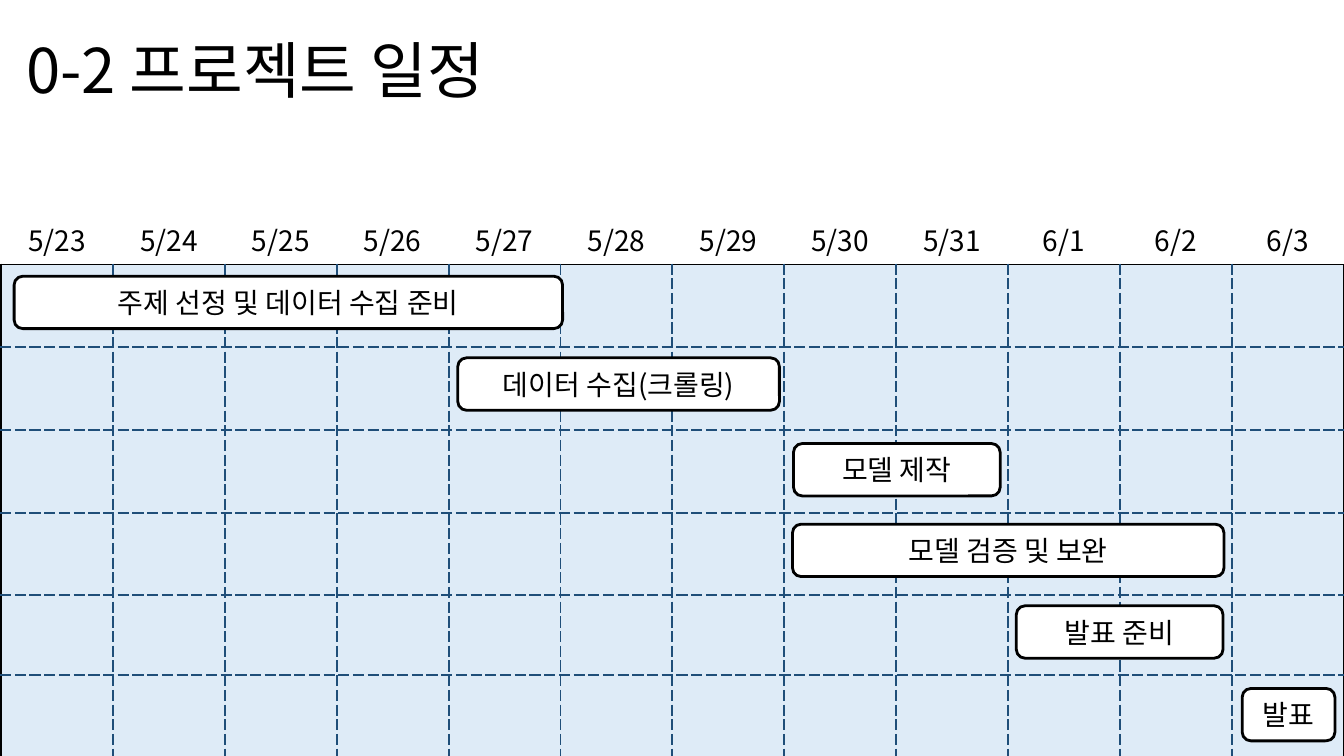
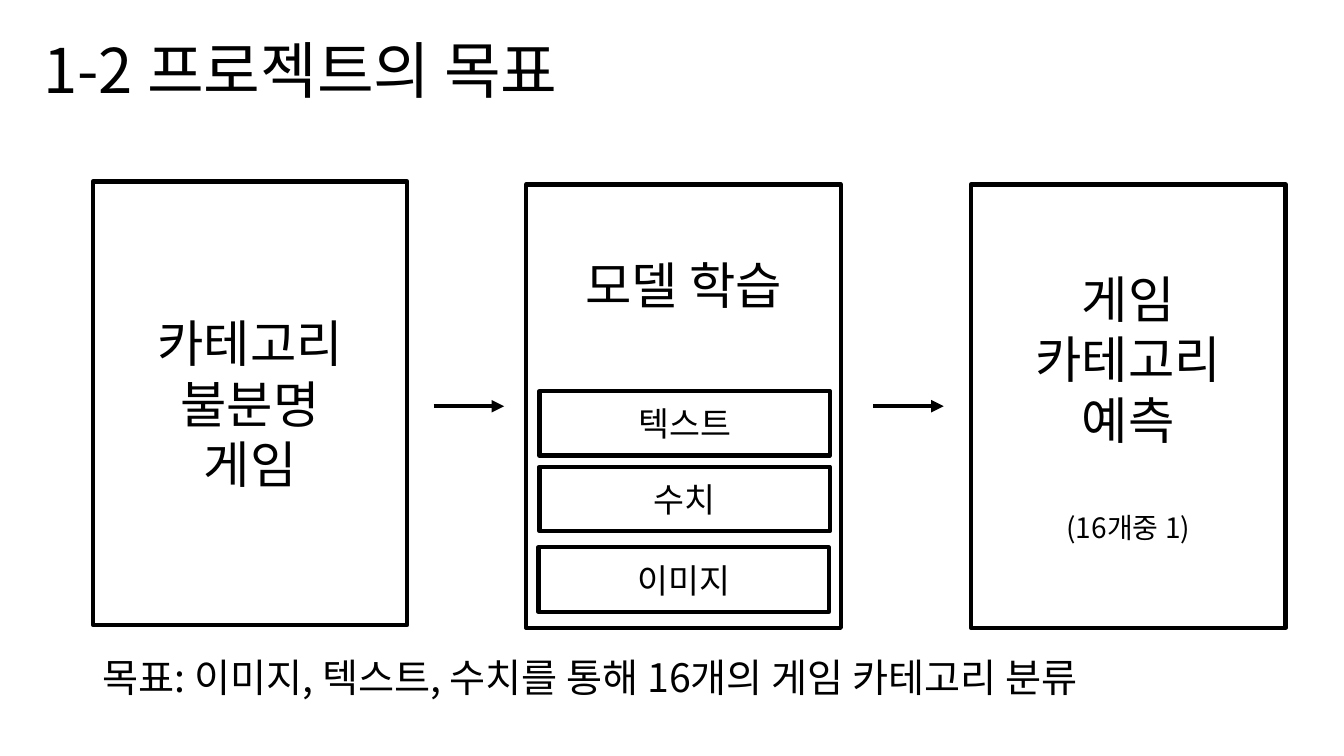
from dataclasses import dataclass
from typing import Any

import lxml.etree
import pptx
import pptx.dml.color
import pptx.enum.shapes
import pptx.enum.text
import pptx.oxml.ns
import pptx.presentation
import pptx.shapes.autoshape
import pptx.slide
import pptx.table
import pptx.text.text
import pptx.util

# Shared style: lengths are px, 100 to the inch
EMU_PER_PX = 9144
SLIDE_WIDTH, SLIDE_HEIGHT = 1333, 750
TITLE_WIDTH, TITLE_HEIGHT = 1150, 145
TITLE_ONLY_LAYOUT = 5
FONT = "Noto Sans CJK KR"
BLACK = pptx.dml.color.RGBColor(0x00, 0x00, 0x00)
WHITE = pptx.dml.color.RGBColor(0xFF, 0xFF, 0xFF)
PALE_BLUE = pptx.dml.color.RGBColor(0xDE, 0xEB, 0xF7)
DARK_BLUE = pptx.dml.color.RGBColor(0x1F, 0x4E, 0x79)

SHAPE = pptx.enum.shapes.MSO_SHAPE
ALIGN = pptx.enum.text.PP_ALIGN
ANCHOR = pptx.enum.text.MSO_ANCHOR


@dataclass(frozen=True)
class Line:
    text: str
    size: int
    space_before: int = 0


@dataclass(frozen=True)
class Box:
    left: int
    top: int
    width: int
    height: int
    lines: tuple[Line, ...]
    kind: Any = SHAPE.RECTANGLE
    fill: pptx.dml.color.RGBColor | None = None
    line_width: int = 3
    top_inset: int | None = None  # set: text starts at the top


@dataclass(frozen=True)
class Task:
    name: str
    left: int
    top: int
    width: int


@dataclass(frozen=True)
class Arrow:
    start: int
    end: int
    y: int


# Schedule content
DATES = [f"5/{day}" for day in range(23, 32)] + [f"6/{day}" for day in range(1, 4)]
TABLE_LEFT, TABLE_TOP, COLUMN_WIDTH = 1, 212, 111
ROW_HEIGHTS = (46, 82, 82, 83, 81, 79, 82)
TASK_HEIGHT = 52
TASKS = (
    Task("주제 선정 및 데이터 수집 준비", 14, 274, 544),
    Task("데이터 수집(크롤링)", 454, 355, 319),
    Task("모델 제작", 787, 440, 205),
    Task("모델 검증 및 보완", 786, 520, 428),
    Task("발표 준비", 1008, 601, 205),
    Task("발표", 1232, 683, 92),
)

# Goal content
STAGE_SIZE = (312, 440)
INPUT_SIZE = (288, 64)
STAGES = (
    Box(92, 180, *STAGE_SIZE, (Line("카테고리", 36), Line("불분명", 36), Line("게임", 36))),
    Box(522, 183, *STAGE_SIZE, (Line("모델 학습", 36),), top_inset=69),
    Box(963, 183, *STAGE_SIZE, (Line("게임", 36), Line("카테고리", 36), Line("예측", 36),
                                Line("(16개중 1)", 20, space_before=44))),
)
INPUTS = (
    Box(535, 388, *INPUT_SIZE, (Line("텍스트", 24),)),
    Box(535, 463, *INPUT_SIZE, (Line("수치", 24),)),
    Box(534, 543, *INPUT_SIZE, (Line("이미지", 24),)),
)
ARROWS = (Arrow(430, 500, 403), Arrow(866, 936, 403))
GOAL = "목표: 이미지, 텍스트, 수치를 통해 16개의 게임 카테고리 분류"


def px(length: int) -> pptx.util.Emu:
    return pptx.util.Emu(length * EMU_PER_PX)


def apply_format(target: Any, values: dict[str, Any]) -> None:
    for name, value in values.items():
        setattr(target, name, value)


def add_element(parent: Any, tag: str, **attributes: str) -> Any:
    return lxml.etree.SubElement(parent, pptx.oxml.ns.qn(tag), attributes)


def write_lines(frame: pptx.text.text.TextFrame, lines: tuple[Line, ...],
                paragraph_format: dict[str, Any]) -> None:
    for index, line in enumerate(lines):
        paragraph = frame.paragraphs[0] if index == 0 else frame.add_paragraph()
        apply_format(paragraph, paragraph_format)
        if line.space_before:
            paragraph.space_before = pptx.util.Pt(line.space_before)
        run = paragraph.add_run()
        run.text = line.text
        apply_format(run.font, {"name": FONT, "size": pptx.util.Pt(line.size), "bold": False})
        run.font.color.rgb = BLACK
        add_element(run.font._element, "a:ea", typeface=FONT)


def add_titled_slide(presentation: pptx.presentation.Presentation, title: str,
                     left: int) -> pptx.slide.Slide:
    slide = presentation.slides.add_slide(presentation.slide_layouts[TITLE_ONLY_LAYOUT])
    shape = slide.shapes.title
    apply_format(shape, {"left": px(left), "top": px(0),
                         "width": px(TITLE_WIDTH), "height": px(TITLE_HEIGHT)})
    apply_format(shape.text_frame, {"vertical_anchor": ANCHOR.MIDDLE, "word_wrap": True,
                                    "auto_size": pptx.enum.text.MSO_AUTO_SIZE.NONE})
    write_lines(shape.text_frame, (Line(title, 44),),
                {"alignment": ALIGN.LEFT, "line_spacing": 0.9})
    return slide


def add_box(slide: pptx.slide.Slide, box: Box) -> pptx.shapes.autoshape.Shape:
    shape = slide.shapes.add_shape(box.kind, px(box.left), px(box.top),
                                   px(box.width), px(box.height))
    shape.shadow.inherit = False
    if box.fill is None:
        shape.fill.background()
    else:
        shape.fill.solid()
        shape.fill.fore_color.rgb = box.fill
    shape.line.color.rgb = BLACK
    shape.line.width = pptx.util.Pt(box.line_width)
    frame = shape.text_frame
    apply_format(frame, {"word_wrap": True, "vertical_anchor": ANCHOR.MIDDLE})
    if box.top_inset is not None:
        apply_format(frame, {"vertical_anchor": ANCHOR.TOP, "margin_top": px(box.top_inset)})
    write_lines(frame, box.lines, {"alignment": ALIGN.CENTER})
    return shape


def add_arrow(slide: pptx.slide.Slide, arrow: Arrow) -> None:
    connector = slide.shapes.add_connector(
        pptx.enum.shapes.MSO_CONNECTOR.STRAIGHT,
        px(arrow.start), px(arrow.y), px(arrow.end), px(arrow.y))
    connector.line.color.rgb = BLACK
    connector.line.width = pptx.util.Pt(3)
    add_element(connector.line._get_or_add_ln(), "a:tailEnd", type="triangle")
    add_element(connector._element.spPr, "a:effectLst")


def add_border(cell: Any, side: str, outer: bool) -> None:
    border = add_element(cell._tc.get_or_add_tcPr(), f"a:ln{side}", w=str(pptx.util.Pt(1.5)))
    fill = add_element(border, "a:solidFill")
    add_element(fill, "a:srgbClr", val=str(BLACK if outer else DARK_BLUE))
    add_element(border, "a:prstDash", val="solid" if outer else "sysDash")


def add_schedule_table(slide: pptx.slide.Slide) -> None:
    row_count, column_count = len(ROW_HEIGHTS), len(DATES)
    table = slide.shapes.add_table(
        row_count, column_count, px(TABLE_LEFT), px(TABLE_TOP),
        px(COLUMN_WIDTH * column_count), px(sum(ROW_HEIGHTS))).table
    apply_format(table, {"first_row": False, "horz_banding": False})
    for column in table.columns:
        column.width = px(COLUMN_WIDTH)
    for row, height in zip(table.rows, ROW_HEIGHTS):
        row.height = px(height)

    # Dates stand above the grid
    for column_index, date in enumerate(DATES):
        cell = table.cell(0, column_index)
        add_border(cell, "B", outer=True)
        cell.fill.background()
        write_lines(cell.text_frame, (Line(date, 20),), {"alignment": ALIGN.CENTER})

    # Grid: solid outside, dashed inside
    for row_index in range(1, row_count):
        for column_index in range(column_count):
            cell = table.cell(row_index, column_index)
            outer_sides = {"L": column_index == 0, "R": column_index == column_count - 1,
                           "T": row_index == 1, "B": row_index == row_count - 1}
            for side, outer in outer_sides.items():
                add_border(cell, side, outer)
            cell.fill.solid()
            cell.fill.fore_color.rgb = PALE_BLUE


def build_schedule(presentation: pptx.presentation.Presentation) -> None:
    slide = add_titled_slide(presentation, "0-2 프로젝트 일정", left=16)
    add_schedule_table(slide)
    for task in TASKS:
        add_box(slide, Box(task.left, task.top, task.width, TASK_HEIGHT, (Line(task.name, 20),),
                           kind=SHAPE.FLOWCHART_ALTERNATE_PROCESS, fill=WHITE, line_width=2))


def build_goal(presentation: pptx.presentation.Presentation) -> None:
    slide = add_titled_slide(presentation, "1-2 프로젝트의 목표", left=33)
    goal = slide.shapes.add_textbox(px(92), px(648), px(1191), px(69))
    goal.text_frame.word_wrap = True
    write_lines(goal.text_frame, (Line(GOAL, 28),), {"line_spacing": 0.9})
    for box in STAGES + INPUTS:
        add_box(slide, box)
    for arrow in ARROWS:
        add_arrow(slide, arrow)


def main() -> None:
    presentation = pptx.Presentation()
    apply_format(presentation, {"slide_width": px(SLIDE_WIDTH), "slide_height": px(SLIDE_HEIGHT)})
    build_schedule(presentation)
    build_goal(presentation)
    presentation.save("out.pptx")


if __name__ == "__main__":
    main()
